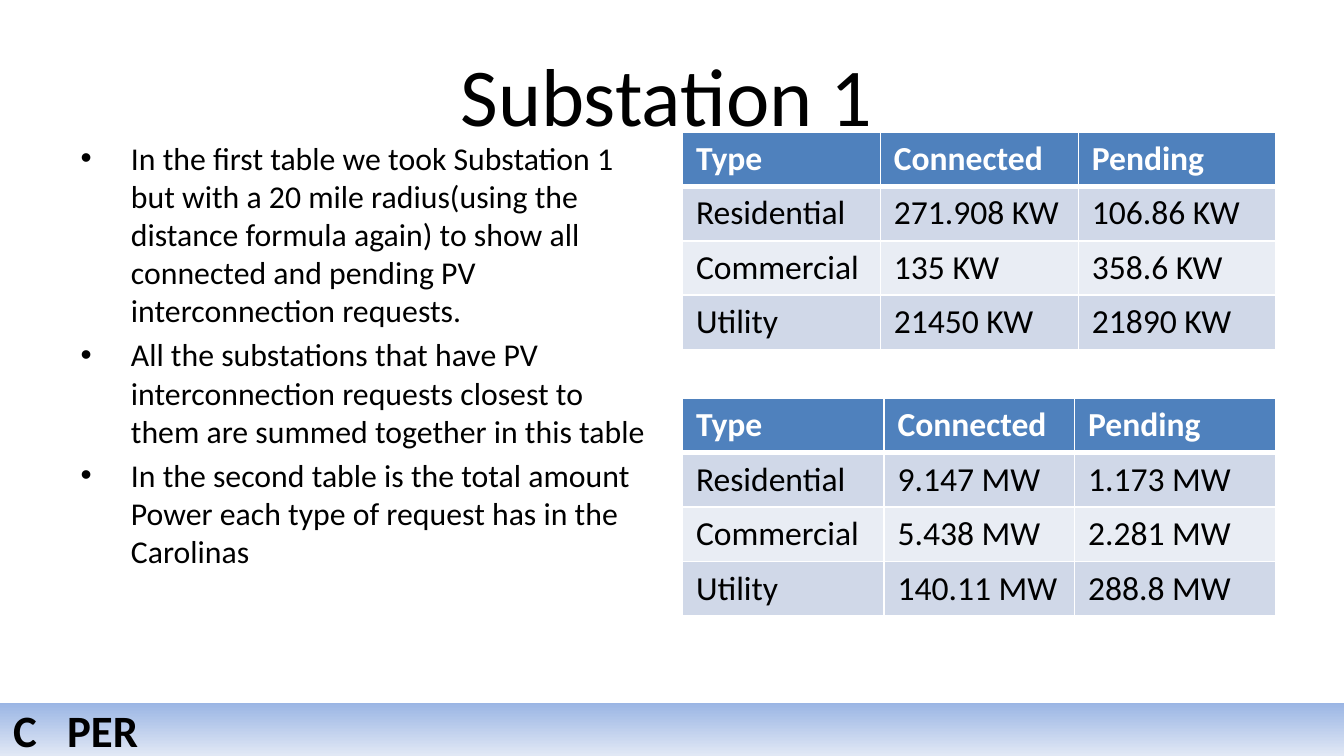
from lxml import etree
from pptx import Presentation
from pptx import util as u
from pptx.dml.color import RGBColor
from pptx.enum import shapes, text
from pptx.oxml import ns

FONT = "Calibri"
COLOURS = {
    "text": "000000",
    "white": "FFFFFF",
    "header": "4F81BD",
    "odd_row": "D0D8E8",
    "even_row": "E9EDF4",
    "bar_top": "9AB5E4",
    "bar_bottom": "E1E8F5",
}
POINTS = [
    "In the first table we took Substation 1 but with a 20 mile radius(using the "
    "distance formula again) to show all connected and pending PV interconnection requests.",
    "All the substations that have PV interconnection requests closest to them are "
    "summed together in this table",
    "In the second table is the total amount Power each type of request has in the Carolinas",
]
HEADINGS = ["Type", "Connected", "Pending"]
SUBSTATION_ROWS = [
    HEADINGS,
    ["Residential", "271.908 KW", "106.86 KW"],
    ["Commercial", "135 KW", "358.6 KW"],
    ["Utility", "21450 KW", "21890 KW"],
]
CAROLINAS_ROWS = [
    HEADINGS,
    ["Residential", "9.147 MW", "1.173 MW"],
    ["Commercial", "5.438 MW", "2.281 MW"],
    ["Utility", "140.11 MW", "288.8 MW"],
]
ROW_HEIGHT = 1.03


def colour(name):
    return RGBColor.from_string(COLOURS[name])


def add_span(para, words, size, name="text", bold=False):
    span = para.add_run()
    span.text = words
    span.font.name = FONT
    span.font.size = u.Pt(size)
    span.font.bold = bold
    span.font.color.rgb = colour(name)


def place(shape, left, top, width, height):
    shape.left, shape.top = u.Cm(left), u.Cm(top)
    shape.width, shape.height = u.Cm(width), u.Cm(height)


def add_footer_bar(page):
    bar = page.shapes.add_shape(
        shapes.MSO_SHAPE.RECTANGLE, u.Cm(0), u.Cm(13.28), u.Cm(25.4), u.Cm(1.01))
    bar.shadow.inherit = False
    bar.line.fill.background()
    bar.fill.gradient()
    bar.fill.gradient_angle = 270
    for stop, name in zip(bar.fill.gradient_stops, ("bar_top", "bar_bottom")):
        stop.color.rgb = colour(name)
    bar.text_frame.vertical_anchor = text.MSO_ANCHOR.MIDDLE
    para = bar.text_frame.paragraphs[0]
    para.alignment = text.PP_ALIGN.LEFT
    tabs = etree.SubElement(para._p.get_or_add_pPr(), ns.qn("a:tabLst"))
    etree.SubElement(tabs, ns.qn("a:tab"), pos=str(u.Cm(1.02)), algn="l")
    add_span(para, "C\tPER", 24, bold=True)


def fill_title(title, words):
    place(title, 1.27, 0.58, 22.66, 2.39)
    title.text_frame.vertical_anchor = text.MSO_ANCHOR.MIDDLE
    para = title.text_frame.paragraphs[0]
    para.alignment = text.PP_ALIGN.CENTER
    add_span(para, words, 44)


def fill_list(body, points):
    place(body, 1.27, 2.49, 11.23, 7.06)
    frame = body.text_frame
    frame.auto_size = text.MSO_AUTO_SIZE.NONE
    for index, words in enumerate(points):
        para = frame.add_paragraph() if index else frame.paragraphs[0]
        properties = para._p.get_or_add_pPr()
        properties.set("marL", str(u.Cm(0.95)))
        properties.set("indent", str(u.Cm(-0.95)))
        etree.SubElement(properties, ns.qn("a:buChar"), char="•")
        add_span(para, words, 17)


def set_borders(cell, is_header):
    """White lines on all sides, with a thick one below the header."""
    properties = cell._tc.get_or_add_tcPr()
    for side in ("L", "R", "T", "B"):
        width = 3 if is_header and side == "B" else 1
        line = etree.SubElement(properties, ns.qn(f"a:ln{side}"), w=str(u.Pt(width)))
        fill = etree.SubElement(line, ns.qn("a:solidFill"))
        etree.SubElement(fill, ns.qn("a:srgbClr"), val=COLOURS["white"])


def add_power_table(page, top, widths, rows):
    frame = page.shapes.add_table(
        len(rows), len(widths), u.Cm(12.9), u.Cm(top),
        u.Cm(sum(widths)), u.Cm(ROW_HEIGHT * len(rows)))
    table = frame.table
    for column, width in zip(table.columns, widths):
        column.width = u.Cm(width)
    for r, values in enumerate(rows):
        table.rows[r].height = u.Cm(ROW_HEIGHT)
        is_header = r == 0
        shade = "header" if is_header else "odd_row" if r % 2 else "even_row"
        for c, words in enumerate(values):
            cell = table.cell(r, c)
            set_borders(cell, is_header)
            cell.fill.solid()
            cell.fill.fore_color.rgb = colour(shade)
            add_span(cell.text_frame.paragraphs[0], words, 18,
                     "white" if is_header else "text", is_header)


def main():
    deck = Presentation()
    deck.slide_width, deck.slide_height = u.Cm(25.4), u.Cm(14.29)
    page = deck.slides.add_slide(deck.slide_layouts[1])
    add_footer_bar(page)
    fill_title(page.shapes.title, "Substation 1")
    fill_list(page.placeholders[1], POINTS)
    add_power_table(page, 2.49, [3.74, 3.74, 3.74], SUBSTATION_ROWS)
    add_power_table(page, 7.52, [3.81, 3.6, 3.81], CAROLINAS_ROWS)
    deck.save("out.pptx")


if __name__ == "__main__":
    main()
